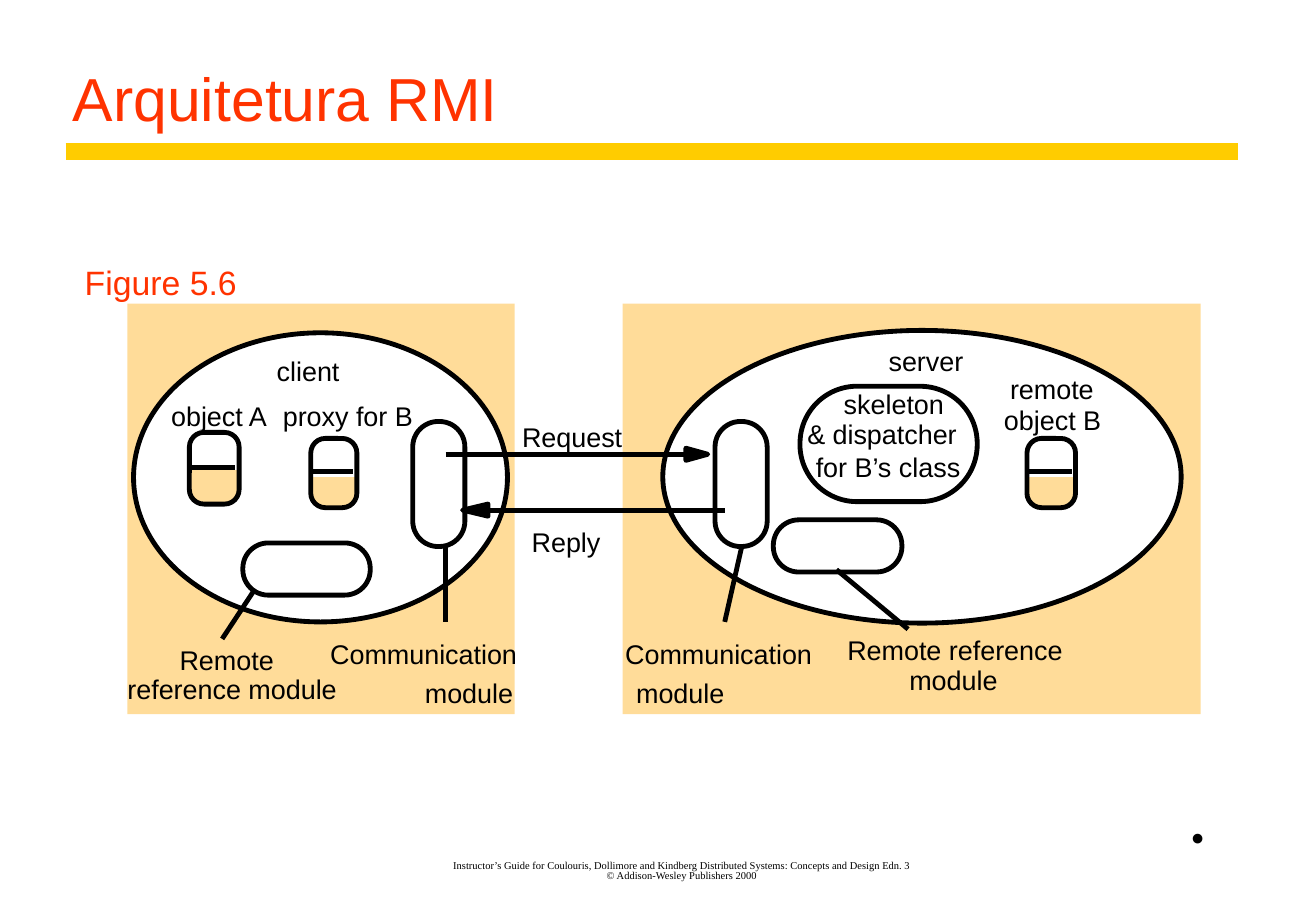
from lxml.etree import SubElement
from pptx import Presentation
from pptx.dml.color import RGBColor
from pptx.enum.shapes import MSO_CONNECTOR as Connector, MSO_SHAPE as Shape
from pptx.enum.text import MSO_ANCHOR as Anchor, MSO_AUTO_SIZE as AutoSize, PP_ALIGN as Align
from pptx.oxml.ns import qn
from pptx.util import Pt

PX = 9144
STROKE = 2.86
COLORS = {
    "ink": "000000",
    "paper": "FFFFFF",
    "sand": "FFDC99",
    "heading": "FF3300",
    "rule": "FFCC00",
}


def color(name):
    return RGBColor.from_string(COLORS[name])


def emu(box, origin=(0, 0)):
    x, y, width, height = box
    return [v * PX for v in (origin[0] + x, origin[1] + y, width, height)]


def style_font(paragraph, size, ink, family="Arial"):
    font = paragraph.font
    font.size, font.name = Pt(size), family
    font.color.rgb = color(ink)


class Region:
    def __init__(self, slide, box):
        self.shapes = slide.shapes
        self.origin = box[:2]
        self.size = box[2:]

    def paint(self, shape, fill, line):
        shape.shadow.inherit = False
        if fill:
            shape.fill.solid()
            shape.fill.fore_color.rgb = color(fill)
        else:
            shape.fill.background()
        if line:
            shape.line.color.rgb = color(line)
            shape.line.width = Pt(STROKE)
        else:
            shape.line.fill.background()

    def block(self, kind, box, fill=None, line=None, radius=None):
        shape = self.shapes.add_shape(kind, *emu(box, self.origin))
        if radius:
            shape.adjustments[0] = radius / min(box[2:])
        self.paint(shape, fill, line)

    def pill(self, box, radius=21, fill=None, line="ink"):
        self.block(Shape.ROUNDED_RECTANGLE, box, fill, line, radius)

    def line(self, start, end, ink="ink", width=STROKE):
        x, y = self.origin
        ends = [v * PX for v in (x + start[0], y + start[1], x + end[0], y + end[1])]
        connector = self.shapes.add_connector(Connector.STRAIGHT, *ends)
        connector.line.color.rgb = color(ink)
        connector.line.width = Pt(width)
        SubElement(connector._element.spPr, qn("a:effectLst"))

    def label(self, text, x, y, width, height=27, size=16, ink="ink",
              family="Arial", inset=(0, 0)):
        frame = self.shapes.add_textbox(*emu((x, y, width, height), self.origin)).text_frame
        frame.margin_left = frame.margin_right = inset[0] * PX
        frame.margin_top = frame.margin_bottom = inset[1] * PX
        frame.word_wrap = False
        frame.auto_size = AutoSize.SHAPE_TO_FIT_TEXT
        paragraph = frame.paragraphs[0]
        paragraph.text = text
        style_font(paragraph, size, ink, family)

    def labels(self, rows):
        for row in rows:
            self.label(*row)

    def instance(self, box, cap, divider):
        x, y, width, height = box
        self.pill(box, 12, "sand", None)
        self.block(Shape.RECTANGLE, (x, y, width, cap), "paper", "paper")
        self.pill(box, 12)
        self.line((x, y + divider), (x + width - 3, y + divider))

    def message(self, y, tail, base, tip):
        self.line((tail, y), (base, y))
        left, top = self.origin
        builder = self.shapes.build_freeform(left + base, top + y - 5, scale=PX)
        builder.add_line_segments([(left + tip, top + y), (left + base, top + y + 5)])
        self.paint(builder.convert_to_shape(), "ink", "ink")

    def process(self, ellipse, communication, reference):
        self.block(Shape.RECTANGLE, (0, 0, *self.size), "sand")
        self.block(Shape.OVAL, ellipse, "paper", "ink")
        self.pill(communication)
        self.pill(reference)


def add_header(slide, box):
    region = Region(slide, box)
    width, height = region.size
    region.line((4, height + 10), (width - 2, height + 10), "rule", 10)
    title = slide.shapes.title
    title.left, title.top, title.width, title.height = emu(box)
    frame = title.text_frame
    frame.vertical_anchor = Anchor.BOTTOM
    frame.auto_size = AutoSize.NONE
    paragraph = frame.paragraphs[0]
    paragraph.text = "Arquitetura RMI"
    paragraph.alignment = Align.LEFT
    style_font(paragraph, 36, "heading")


def add_client(slide, box):
    client = Region(slide, box)
    client.process((5, 24, 308, 238), (235, 97, 43, 103), (95, 197, 105, 43))
    client.labels([
        ("client", 123, 42, 56),
        ("object A", 36, 79, 84),
        ("proxy for B", 128, 79, 114),
        ("Remote", 43, 280, 84),
        ("reference module", 0, 304, 180),
        ("Communication", 167, 275, 160),
        ("module", 245, 307, 76),
    ])
    client.line((262, 262), (262, 200))
    client.line((78, 276), (105, 235))
    client.instance((51, 106, 41, 59), 29, 29)
    client.instance((151, 111, 38, 57), 30, 27)


def add_server(slide, box):
    server = Region(slide, box)
    server.process((33, 22, 427, 241), (76, 97, 43, 103), (124, 178, 106, 43))
    server.pill((146, 68, 146, 95), 47)
    server.labels([
        ("server", 219, 34, 66),
        ("skeleton", 182, 69, 88),
        ("& dispatcher", 152, 94, 130),
        ("for B’s class", 159, 121, 126),
        ("remote", 319, 57, 74),
        ("object B", 314, 82, 86),
        ("Communication", 2, 275, 160),
        ("module", 11, 307, 76),
        ("Remote reference", 185, 272, 184),
        ("module", 236, 296, 76),
    ])
    server.line((84, 262), (98, 200))
    server.line((235, 268), (176, 219))
    server.instance((333, 111, 40, 57), 30, 27)


def add_messages(slide, box):
    messages = Region(slide, box)
    messages.labels([("Request", 63, 0, 88), ("Reply", 71, 87, 60)])
    messages.message(28, 0, 198, 216)
    messages.message(74, 230, 35, 14)


def add_footer(slide, box):
    frame = slide.shapes.add_textbox(*emu(box)).text_frame
    frame.word_wrap = True
    frame.vertical_anchor = Anchor.BOTTOM
    paragraph = frame.paragraphs[0]
    paragraph.text = (
        "Instructor’s Guide for Coulouris, Dollimore and Kindberg "
        "Distributed Systems: Concepts and Design Edn. 3\n"
        "© Addison-Wesley Publishers 2000"
    )
    paragraph.alignment = Align.CENTER
    paragraph.line_spacing = 0.8
    style_font(paragraph, 6.2, "ink", "Times New Roman")


def add_figure(slide, box):
    x, y = box[:2]
    figure = Region(slide, box)
    add_client(slide, (x + 45, y + 40, 319, 338))
    add_server(slide, (x + 453, y + 40, 476, 338))
    add_messages(slide, (x + 307, y + 136, 230, 113))
    figure.label("Figure 5.6", 0, 1, 150, 44, 20, "heading", inset=(10, 5))
    figure.label("•", 911, 454, 31, 50, 24, family="Times New Roman", inset=(10, 5))


def main():
    deck = Presentation()
    deck.slide_width, deck.slide_height = 1084 * PX, 750 * PX
    slide = deck.slides.add_slide(deck.slide_layouts[5])
    slide.background.fill.solid()
    slide.background.fill.fore_color.rgb = color("paper")
    add_header(slide, (50, 27, 972, 88))
    add_figure(slide, (60, 210, 942, 504))
    add_footer(slide, (232, 700, 659, 31))
    deck.save("out.pptx")


if __name__ == "__main__":
    main()
